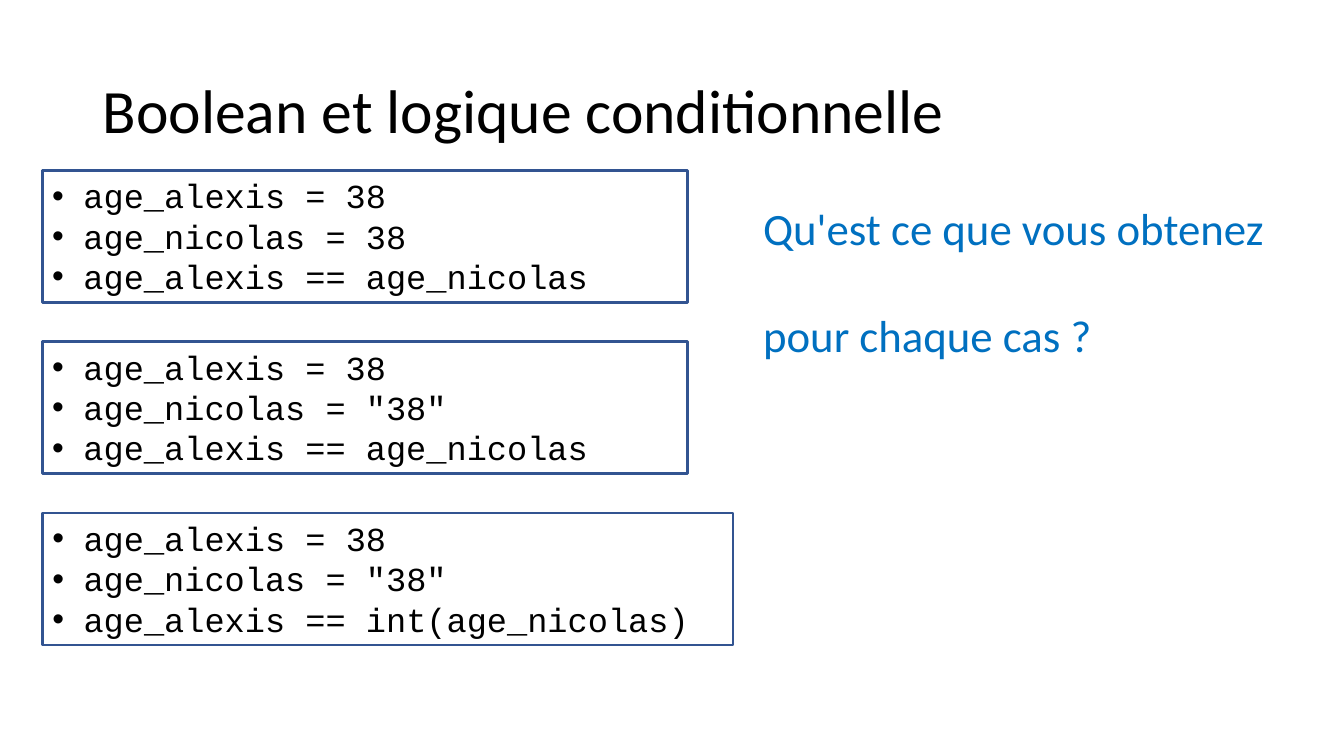
import pptx
import pptx.dml.color
import pptx.enum.shapes
import pptx.enum.text
import pptx.oxml.ns
import pptx.util
from lxml import etree
from pptx.util import Inches

BLACK = pptx.dml.color.RGBColor(0x00, 0x00, 0x00)
BORDER_BLUE = pptx.dml.color.RGBColor(0x32, 0x54, 0x91)
QUESTION_BLUE = pptx.dml.color.RGBColor(0x00, 0x70, 0xC0)

# Box width in inches, then the lines of code
CASES = [
    (6.4, ["age_alexis = 38", "age_nicolas = 38", "age_alexis == age_nicolas"]),
    (6.4, ["age_alexis = 38", 'age_nicolas = "38"', "age_alexis == age_nicolas"]),
    (6.85, ["age_alexis = 38", 'age_nicolas = "38"', "age_alexis == int(age_nicolas)"]),
]


def set_font(paragraph, name, size, color):
    paragraph.font.name = name
    paragraph.font.size = pptx.util.Pt(size)
    paragraph.font.color.rgb = color


def add_bullet(paragraph, indent):
    properties = paragraph._p.get_or_add_pPr()
    properties.set("marL", str(indent))
    properties.set("indent", str(-indent))
    for tag, attribute, value in (("a:buFont", "typeface", "Arial"), ("a:buChar", "char", "•")):
        bullet = etree.SubElement(properties, pptx.oxml.ns.qn(tag))
        bullet.set(attribute, value)


def place_title(slide, left, top, width, height):
    title = slide.shapes.title
    title.left, title.top, title.width, title.height = left, top, width, height
    frame = title.text_frame
    frame.text = "Boolean et logique conditionnelle"
    frame.auto_size = pptx.enum.text.MSO_AUTO_SIZE.NONE
    frame.vertical_anchor = pptx.enum.text.MSO_ANCHOR.MIDDLE
    heading = frame.paragraphs[0]
    heading.alignment = pptx.enum.text.PP_ALIGN.LEFT
    heading.line_spacing = 0.9
    set_font(heading, "Calibri", 44, BLACK)


def add_case(slide, left, top, width, height, code_lines):
    """Draw one outlined box of bulleted code."""
    case = slide.shapes.add_shape(
        pptx.enum.shapes.MSO_SHAPE.RECTANGLE, left, top, width, height)
    case.shadow.inherit = False
    case.fill.background()
    case.line.color.rgb = BORDER_BLUE
    case.line.width = pptx.util.Pt(2)
    frame = case.text_frame
    frame.word_wrap = True
    frame.vertical_anchor = pptx.enum.text.MSO_ANCHOR.TOP
    frame.text = "\n".join(code_lines)
    for paragraph in frame.paragraphs:
        paragraph.alignment = pptx.enum.text.PP_ALIGN.LEFT
        paragraph.line_spacing = pptx.util.Pt(28.8)
        add_bullet(paragraph, Inches(0.31))
        set_font(paragraph, "Courier New", 24, BLACK)


def add_cases(slide, left, top, height, pitch):
    for index, (width, code_lines) in enumerate(CASES):
        add_case(slide, left, top + index * pitch, Inches(width), height, code_lines)


def add_question(slide, left, top, width, height):
    frame = slide.shapes.add_textbox(left, top, width, height).text_frame
    frame.word_wrap = True
    frame.text = "Qu'est ce que vous obtenez\npour chaque cas ?"
    for paragraph in frame.paragraphs:
        set_font(paragraph, "Calibri", 32, QUESTION_BLUE)
    frame.paragraphs[1].space_before = pptx.util.Pt(38)


def main():
    presentation = pptx.Presentation()
    presentation.slide_width = Inches(13.33)
    presentation.slide_height = Inches(7.5)
    slide = presentation.slides.add_slide(presentation.slide_layouts[5])
    place_title(slide, Inches(0.92), Inches(0.4), Inches(11.5), Inches(1.45))
    add_cases(slide, Inches(0.42), Inches(1.69), Inches(1.31), Inches(1.7))
    add_question(slide, Inches(7.47), Inches(1.94), Inches(5.25), Inches(1.18))
    presentation.save("out.pptx")


if __name__ == "__main__":
    main()
